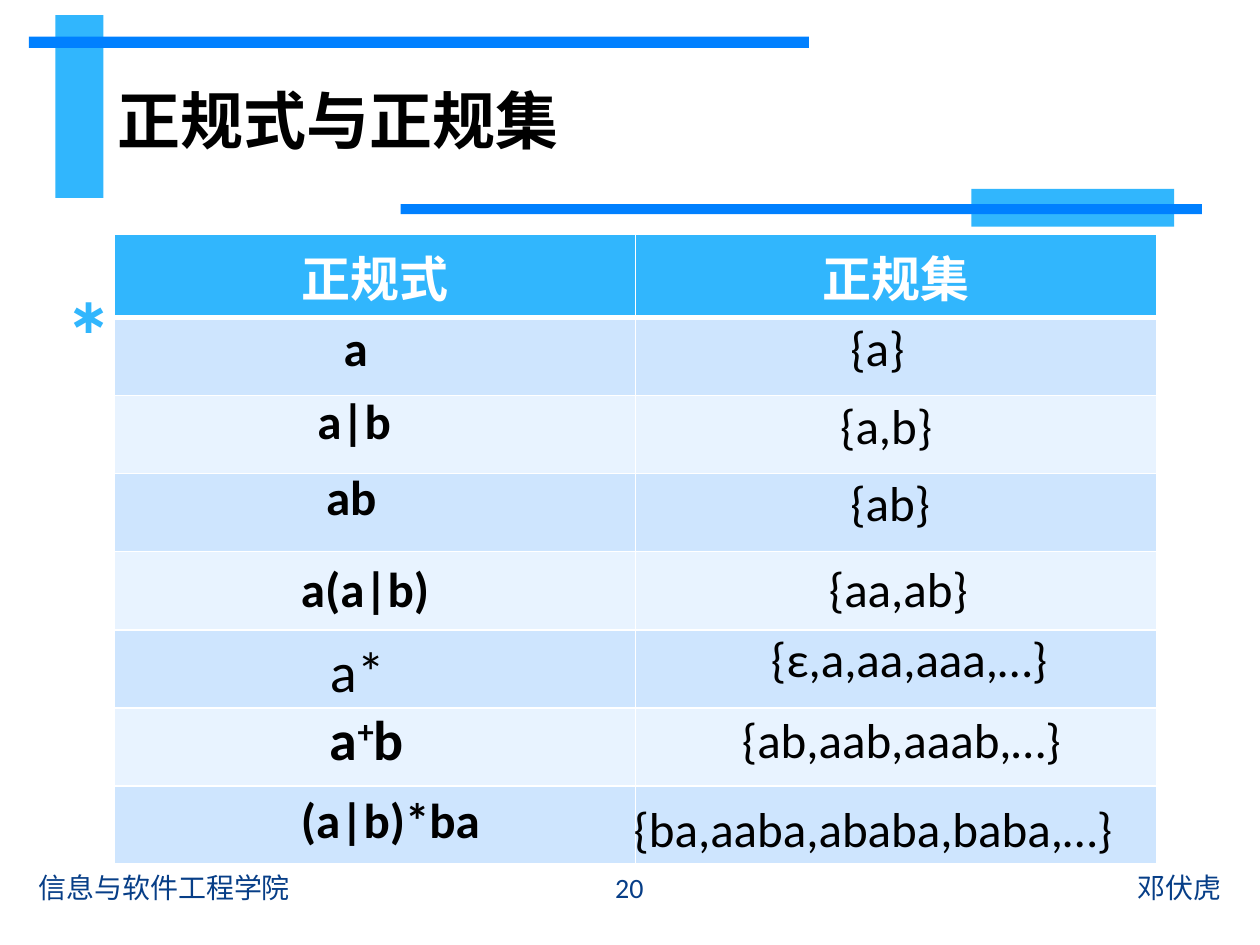
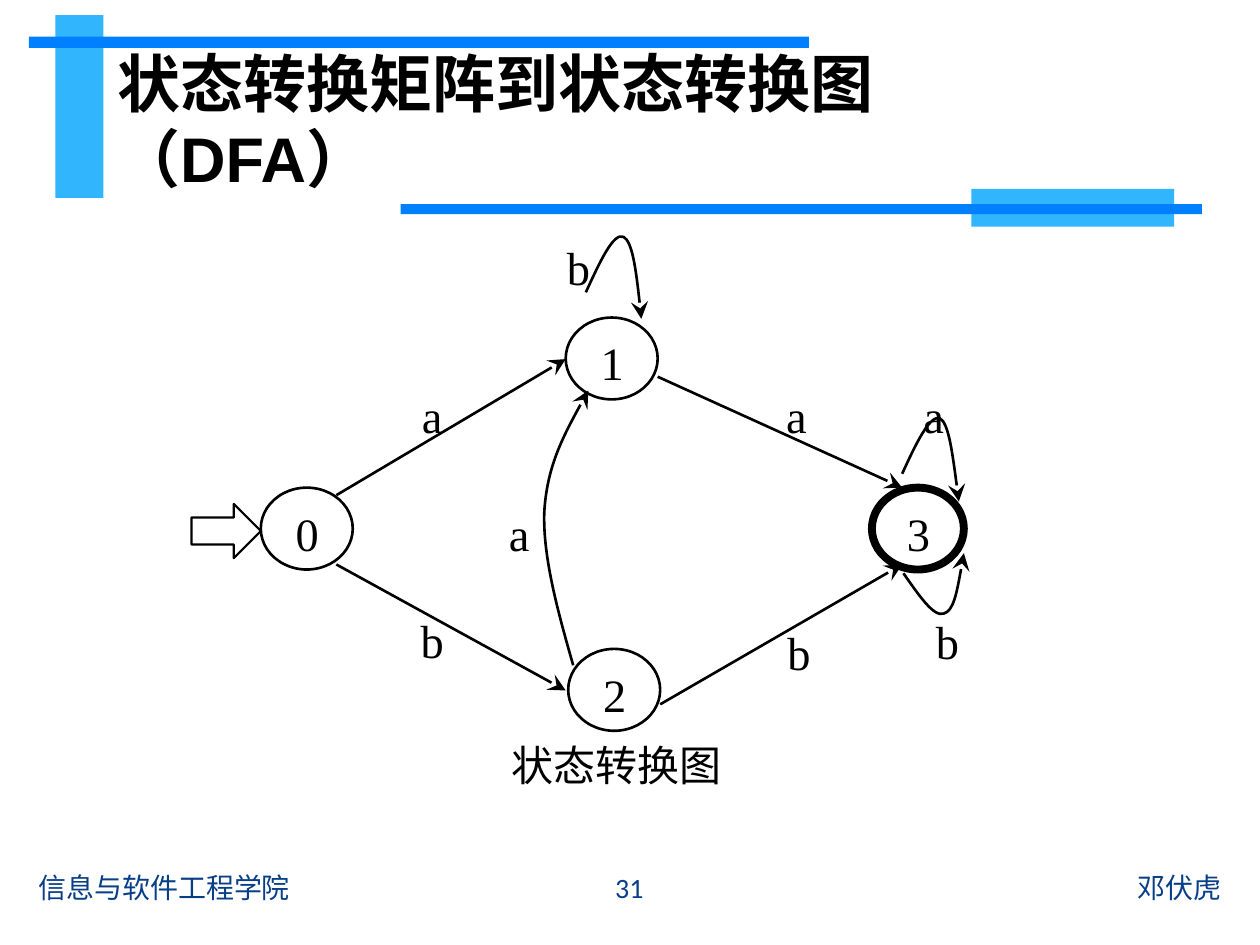
from lxml import etree
from pptx import Presentation
from pptx.dml.color import RGBColor
from pptx.enum.shapes import MSO_CONNECTOR, MSO_SHAPE
from pptx.enum.text import MSO_ANCHOR, MSO_AUTO_SIZE, PP_ALIGN
from pptx.oxml.ns import qn
from pptx.util import Pt

SCALE = 9144
LEFT, CENTER, RIGHT, JUSTIFY = PP_ALIGN.LEFT, PP_ALIGN.CENTER, PP_ALIGN.RIGHT, PP_ALIGN.JUSTIFY
TOP, MIDDLE = MSO_ANCHOR.TOP, MSO_ANCHOR.MIDDLE
NO_FIT = MSO_AUTO_SIZE.NONE
RECTANGLE, OVAL, ARROW = MSO_SHAPE.RECTANGLE, MSO_SHAPE.OVAL, MSO_SHAPE.RIGHT_ARROW
STRAIGHT = MSO_CONNECTOR.STRAIGHT
SANS, SERIF, HAN, HEADING = "Calibri", "Times New Roman", "Noto Sans CJK SC", "Arial"
BLACK, WHITE, NAVY, BLUE, SKY = "000000", "FFFFFF", "073E87", "0080FF", "31B6FD"
ROW_TINTS = ("E8F3FF", "CEE5FE")

BANDS = [
    ((44, 12, 38, 145), SKY),
    ((23, 29, 619, 9), BLUE),
    ((771, 150, 161, 30), SKY),
    ((318, 162, 636, 8), BLUE),
]
EXPRESSIONS = [
    (263, 247, 40, "a"), (242, 305, 83, "a|b"), (249, 365, 80, "ab"),
    (229, 438, 208, "a(a|b)"), (229, 622, 208, "(a|b)*ba"),
]
LANGUAGES = [
    (665, 247, 108, "{a}"), (657, 309, 123, "{a,b}"), (665, 370, 123, "{ab}"),
    (648, 438, 141, "{aa,ab}"), (602, 494, 283, "{ε,a,aa,aaa,…}"),
    (579, 558, 307, "{ab,aab,aaab,…}"), (493, 629, 469, "{ba,aaba,ababa,baba,…}"),
]
STATES = [("0", 207, 387, 1.5), ("3", 692, 387, 4.5), ("1", 449, 252, 1.5), ("2", 451, 515, 1.5)]
MOVES = [
    ((267, 393), (449, 285)), ((522, 299), (716, 387)),
    ((267, 448), (449, 548)), ((524, 559), (716, 448)),
]
CURVES = [
    [(455, 528), (443, 486), (431, 443), (432, 407), (434, 371), (450, 340), (467, 310)],
    [(716, 376), (727, 352), (738, 329), (746, 332), (753, 336), (757, 367), (761, 398)],
    [(717, 455), (729, 472), (741, 490), (749, 487), (757, 485), (761, 462), (765, 439)],
    [(465, 232), (476, 208), (487, 184), (495, 188), (502, 192), (506, 222), (509, 253)],
]
MOVE_LABELS = [
    ("a", 307, 306, 46), ("a", 376, 400, 46), ("a", 596, 306, 46), ("a", 705, 306, 46),
    ("b", 307, 485, 46), ("b", 716, 481, 55), ("b", 598, 490, 55), ("b", 423, 184, 55),
]


def px(*lengths):
    """Turn px lengths into EMU."""
    return [length * SCALE for length in lengths]


def color(code):
    """Turn a hex string into a colour."""
    return RGBColor.from_string(code)


def style(para, size, font, ink=BLACK, bold=False, align=LEFT):
    """Format every run of a paragraph."""
    para.alignment = align
    for span in para.runs:
        span.font.size, span.font.bold, span.font.name = Pt(size), bold, font
        span.font.color.rgb = color(ink)
        east_asian = etree.SubElement(span.font._element, qn("a:ea"))
        east_asian.set("typeface", HAN)


def place(shape, box):
    """Move a shape to a box."""
    shape.left, shape.top, shape.width, shape.height = px(*box)


def add_text(page, box, text, size, font, ink=BLACK, bold=False, align=LEFT, anchor=TOP, wrap=True):
    """Add a text box with one paragraph."""
    frame = page.shapes.add_textbox(*px(*box)).text_frame
    frame.word_wrap, frame.vertical_anchor = wrap, anchor
    frame.text = text
    style(frame.paragraphs[0], size, font, ink, bold, align)
    return frame.paragraphs[0]


def add_shape(page, kind, box, fill=None, line=None, width=1.5):
    """Add a flat preset shape."""
    shape = page.shapes.add_shape(kind, *px(*box))
    shape.shadow.inherit = False
    outline(shape, line, width)
    if fill:
        shape.fill.solid()
        shape.fill.fore_color.rgb = color(fill)
    else:
        shape.fill.background()
    return shape


def outline(shape, line, width):
    """Set or clear the line of a shape."""
    if line:
        shape.line.color.rgb = color(line)
        shape.line.width = Pt(width)
    else:
        shape.line.fill.background()


def add_arrowhead(shape):
    """Put a large stealth arrowhead at the end of a line."""
    head = etree.SubElement(shape.element.spPr.find(qn("a:ln")), qn("a:tailEnd"))
    for name, value in (("type", "stealth"), ("w", "lg"), ("len", "lg")):
        head.set(name, value)


def add_bands(deck, page):
    """Draw the bands and move them to the back of the master."""
    anchor = deck.slide_master.placeholders[0].element
    for number, (box, fill) in enumerate(BANDS, 101):
        band = add_shape(page, RECTANGLE, box, fill)
        band.element.nvSpPr.cNvPr.set("id", str(number))
        anchor.addprevious(band.element)


def add_frame(page, title, font, number):
    """Fill the title and add the footers."""
    holder = page.shapes.title
    place(holder, (83, 44, 772, 102))
    frame = holder.text_frame
    frame.text = title
    frame.auto_size, frame.vertical_anchor = NO_FIT, MIDDLE
    style(frame.paragraphs[0], 36, font, bold=True)
    footers = [(565, 414, "邓伏虎", RIGHT), (21, 414, "信息与软件工程学院", LEFT), (436, 127, number, CENTER)]
    for left, width, text, align in footers:
        add_text(page, (left, 684, width, 40), text, 16, SANS, NAVY, align=align, anchor=MIDDLE)


def add_marker(page, box):
    """Write the list marker beside the table in the body placeholder."""
    holder = page.placeholders[1]
    place(holder, box)
    frame = holder.text_frame
    frame.auto_size = NO_FIT
    frame.text = "∗"
    para = frame.paragraphs[0]
    para.space_before = Pt(0)
    settings = para._p.get_or_add_pPr()
    settings.set("marL", "0")
    settings.set("indent", "0")
    etree.SubElement(settings, qn("a:buNone"))
    style(para, 28, SANS, SKY, True)


def format_cell(cell, fill, bottom):
    """Set the borders and the fill of a cell."""
    settings = cell._tc.get_or_add_tcPr()
    for side, width in (("L", 1), ("R", 1), ("T", 1), ("B", bottom)):
        border = etree.SubElement(settings, qn(f"a:ln{side}"))
        border.set("w", str(Pt(width)))
        ink = etree.SubElement(border, qn("a:solidFill"))
        etree.SubElement(ink, qn("a:srgbClr")).set("val", WHITE)
    cell.fill.solid()
    cell.fill.fore_color.rgb = color(fill)


def add_grid(page, box, headings, row_count):
    """Add the table with its headings and tinted rows."""
    table = page.shapes.add_table(row_count, len(headings), *px(*box)).table
    table.rows[0].height = 66 * SCALE
    for index, row in enumerate(table.rows):
        for cell in row.cells:
            format_cell(cell, ROW_TINTS[index % 2] if index else SKY, 1 if index else 3)
    for cell, heading in zip(table.rows[0].cells, headings):
        cell.text = heading
        style(cell.text_frame.paragraphs[0], 28, SANS, WHITE, True, CENTER)


def add_entries(page):
    """Write the expressions and their sets over the table."""
    for entries, bold in ((EXPRESSIONS, True), (LANGUAGES, False)):
        for left, top, width, text in entries:
            add_text(page, (left, top, width, 57), text, 28, SANS, bold=bold)
    add_text(page, (252, 500, 75, 64), "a*", 32, SANS)
    para = add_text(page, (252, 554, 116, 64), "a", 32, SANS, bold=True)
    for text in "+b":
        span = para.add_run()
        span.text = text
        span.font.size, span.font.bold, span.font.name = Pt(32), True, SANS
        span.font.color.rgb = color(BLACK)
    para.runs[1].font._element.set("baseline", "30000")


def add_move(page, start, end):
    """Add a straight arrow between two states."""
    move = page.shapes.add_connector(STRAIGHT, *px(*start, *end))
    outline(move, BLACK, 1.5)
    add_arrowhead(move)
    etree.SubElement(move.element.spPr, qn("a:effectLst"))


def add_curve(page, points):
    """Add a curved arrow from a start point and cubic Bézier points."""
    start, *rest = [px(*point) for point in points]
    builder = page.shapes.build_freeform(*start, scale=1.0)
    builder.add_line_segments(rest, close=False)
    curve = builder.convert_to_shape()
    curve.shadow.inherit = False
    curve.fill.background()
    outline(curve, BLACK, 1.5)
    add_arrowhead(curve)
    track = next(curve.element.iter(qn("a:path")))
    segments = track.findall(qn("a:lnTo"))
    for first in range(0, len(segments), 3):
        bezier = etree.SubElement(track, qn("a:cubicBezTo"))
        for segment in segments[first:first + 3]:
            bezier.append(segment[0])
            track.remove(segment)


def add_state(page, name, left, top, width):
    """Add a numbered state circle."""
    state = add_shape(page, OVAL, (left, top, 73, 65), line=BLACK, width=width)
    frame = state.text_frame
    frame.margin_left, frame.margin_top, frame.margin_right, frame.margin_bottom = px(17, 4, 0, 0)
    frame.vertical_anchor = TOP
    frame.text = name
    style(frame.paragraphs[0], 26.5, SERIF, align=JUSTIFY)


def add_diagram(page):
    """Draw the state transition diagram."""
    for start, end in MOVES:
        add_move(page, start, end)
    for points in CURVES:
        add_curve(page, points)
    for state in STATES:
        add_state(page, *state)
    for text, left, top, height in MOVE_LABELS:
        add_text(page, (left, top, 72, height), text, 26.5, SERIF, align=CENTER, anchor=MIDDLE, wrap=False)
    add_text(page, (345, 580, 288, 54), "状态转换图", 24, HAN, align=CENTER, anchor=MIDDLE, wrap=False)
    add_shape(page, ARROW, (152, 400, 55, 43), WHITE, BLACK, 1.25)


def main():
    """Build the two slides."""
    deck = Presentation()
    deck.slide_width, deck.slide_height = px(1000, 750)
    sets_page = deck.slides.add_slide(deck.slide_layouts[1])
    add_bands(deck, sets_page)
    add_marker(sets_page, (44, 221, 910, 52))
    add_frame(sets_page, "正规式与正规集", HAN, "20")
    add_grid(sets_page, (91, 186, 827, 496), ("正规式", "正规集"), 8)
    add_entries(sets_page)
    graph_page = deck.slides.add_slide(deck.slide_layouts[5])
    add_frame(graph_page, "状态转换矩阵到状态转换图（DFA）", HEADING, "31")
    add_diagram(graph_page)
    deck.save("out.pptx")


if __name__ == "__main__":
    main()
